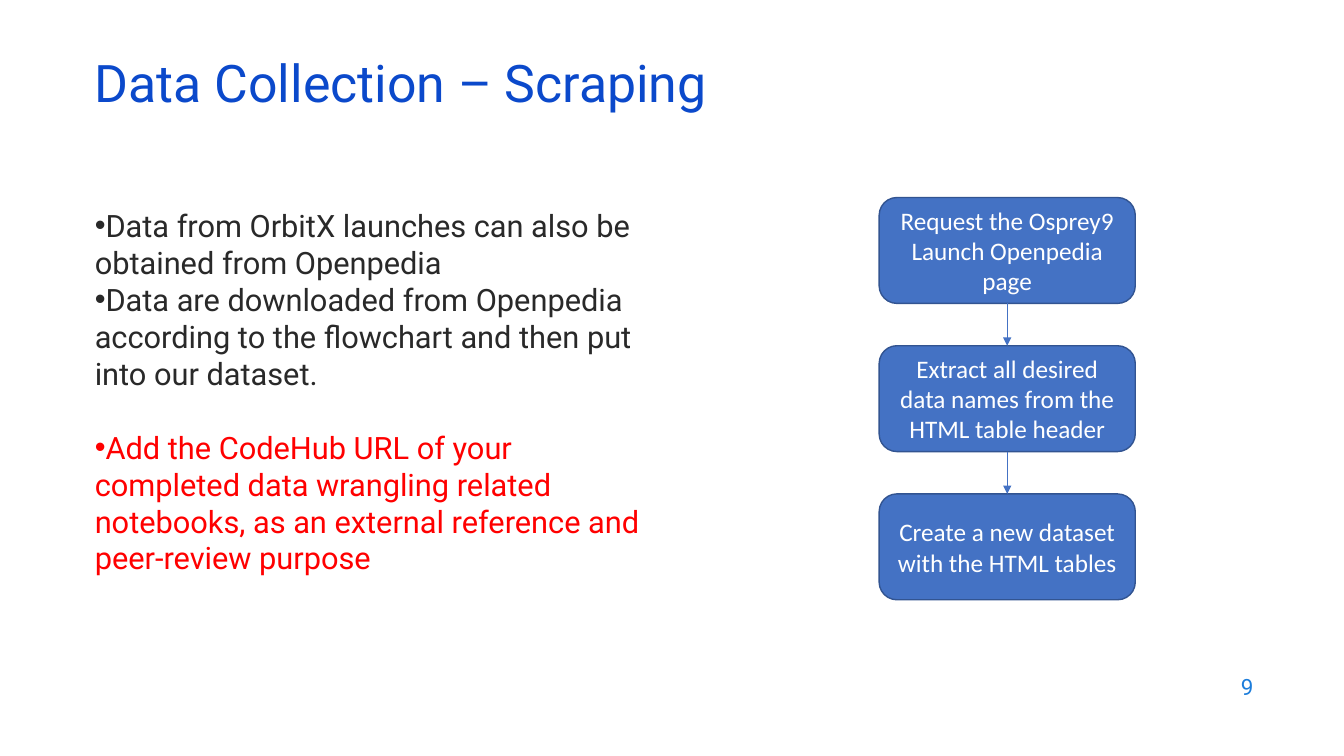
from dataclasses import dataclass
from itertools import pairwise

from lxml.etree import SubElement
from pptx import Presentation
from pptx.dml.color import RGBColor
from pptx.enum.shapes import MSO_CONNECTOR as Connector, MSO_SHAPE as Shape
from pptx.enum.text import MSO_ANCHOR as Anchor, MSO_AUTO_SIZE as AutoSize, PP_ALIGN as Align
from pptx.oxml.ns import qn
from pptx.shapes.autoshape import Shape as AutoShape
from pptx.slide import Slide
from pptx.text.text import _Paragraph as Paragraph
from pptx.util import Inches, Pt

TITLE_BLUE = RGBColor(0x0B, 0x49, 0xCB)
NUMBER_BLUE = RGBColor(0x1C, 0x7D, 0xDB)
STEP_BLUE = RGBColor(0x44, 0x72, 0xC4)
STEP_EDGE = RGBColor(0x32, 0x54, 0x91)
DARK = RGBColor(0x29, 0x29, 0x29)
RED = RGBColor(0xFF, 0x00, 0x00)
WHITE = RGBColor(0xFF, 0xFF, 0xFF)

STEP_LEFT, STEP_TOP, STEP_PITCH = 8.72, 1.96, 1.47
STEP_WIDTH, STEP_HEIGHT = 2.54, 1.05


@dataclass
class Point:
    text: str
    color: RGBColor = DARK
    gap: float = 0


POINTS = [
    Point("Data from OrbitX launches can also be obtained from Openpedia"),
    Point("Data are downloaded from Openpedia according to the flowchart and then put into our dataset."),
    Point("Add the CodeHub URL of your completed data wrangling related notebooks, "
          "as an external reference and peer-review purpose", RED, 26.4),
]
STEPS = [
    "Request the Osprey9 Launch Openpedia page",
    "Extract all desired data names from the HTML table header",
    "Create a new dataset with the HTML tables",
]


def style(paragraph: Paragraph, size: float, color: RGBColor, align: Align,
          font: str = "Roboto") -> None:
    paragraph.alignment = align
    for run in paragraph.runs:
        run.font.name = font
        run.font.size = Pt(size)
        run.font.color.rgb = color


def place(shape: AutoShape, left: float, top: float, width: float, height: float,
          anchor: Anchor) -> None:
    shape.left, shape.top = Inches(left), Inches(top)
    shape.width, shape.height = Inches(width), Inches(height)
    frame = shape.text_frame
    frame.word_wrap = True
    frame.auto_size = AutoSize.NONE
    frame.vertical_anchor = anchor


def add_bullet(paragraph: Paragraph) -> None:
    properties = paragraph._p.get_or_add_pPr()
    properties.set("marL", "0")
    properties.set("indent", "0")
    SubElement(properties, qn("a:buChar")).set("char", "•")


def add_step(slide: Slide, text: str, top: float) -> AutoShape:
    step = slide.shapes.add_shape(Shape.ROUNDED_RECTANGLE, 0, 0, 0, 0)
    place(step, STEP_LEFT, top, STEP_WIDTH, STEP_HEIGHT, Anchor.MIDDLE)
    step.shadow.inherit = False
    step.fill.solid()
    step.fill.fore_color.rgb = STEP_BLUE
    step.line.color.rgb = STEP_EDGE
    step.line.width = Pt(1)
    step.text_frame.text = text
    style(step.text_frame.paragraphs[0], 18, WHITE, Align.CENTER, "Calibri")
    return step


def add_arrow(slide: Slide, upper: AutoShape, lower: AutoShape) -> None:
    arrow = slide.shapes.add_connector(Connector.STRAIGHT, 0, 0, 0, 0)
    arrow.begin_connect(upper, 2)
    arrow.end_connect(lower, 0)
    arrow.line.color.rgb = STEP_BLUE
    arrow.line.width = Pt(0.5)
    SubElement(arrow.line._get_or_add_ln(), qn("a:tailEnd")).set("type", "triangle")
    SubElement(arrow._element.spPr, qn("a:effectLst"))


def main() -> None:
    deck = Presentation()
    deck.slide_width, deck.slide_height = Inches(13.33), Inches(7.5)
    slide = deck.slides.add_slide(deck.slide_layouts[1])

    # Title
    title = slide.shapes.title
    place(title, 0.84, 0.59, 11.5, 0.6, Anchor.MIDDLE)
    title.text_frame.text = "Data Collection – Scraping"
    heading = title.text_frame.paragraphs[0]
    heading.line_spacing = 0.7
    style(heading, 37, TITLE_BLUE, Align.LEFT)

    # Bulleted explanation
    body = slide.placeholders[1]
    place(body, 0.84, 2, 5.73, 4.76, Anchor.TOP)
    body.text_frame.text = "\n".join(point.text for point in POINTS)
    for paragraph, point in zip(body.text_frame.paragraphs, POINTS):
        add_bullet(paragraph)
        paragraph.line_spacing = Pt(26.4)
        paragraph.space_before = Pt(point.gap)
        style(paragraph, 22, point.color, Align.LEFT)

    # Flowchart
    steps = [add_step(slide, text, STEP_TOP + row * STEP_PITCH)
             for row, text in enumerate(STEPS)]
    for upper, lower in pairwise(steps):
        add_arrow(slide, upper, lower)

    # Page number
    page_number = slide.shapes.add_textbox(0, 0, 0, 0)
    place(page_number, 9.53, 6.59, 3, 0.44, Anchor.MIDDLE)
    page_number.text_frame.text = "9"
    style(page_number.text_frame.paragraphs[0], 16, NUMBER_BLUE, Align.RIGHT)

    deck.save("out.pptx")


if __name__ == "__main__":
    main()
